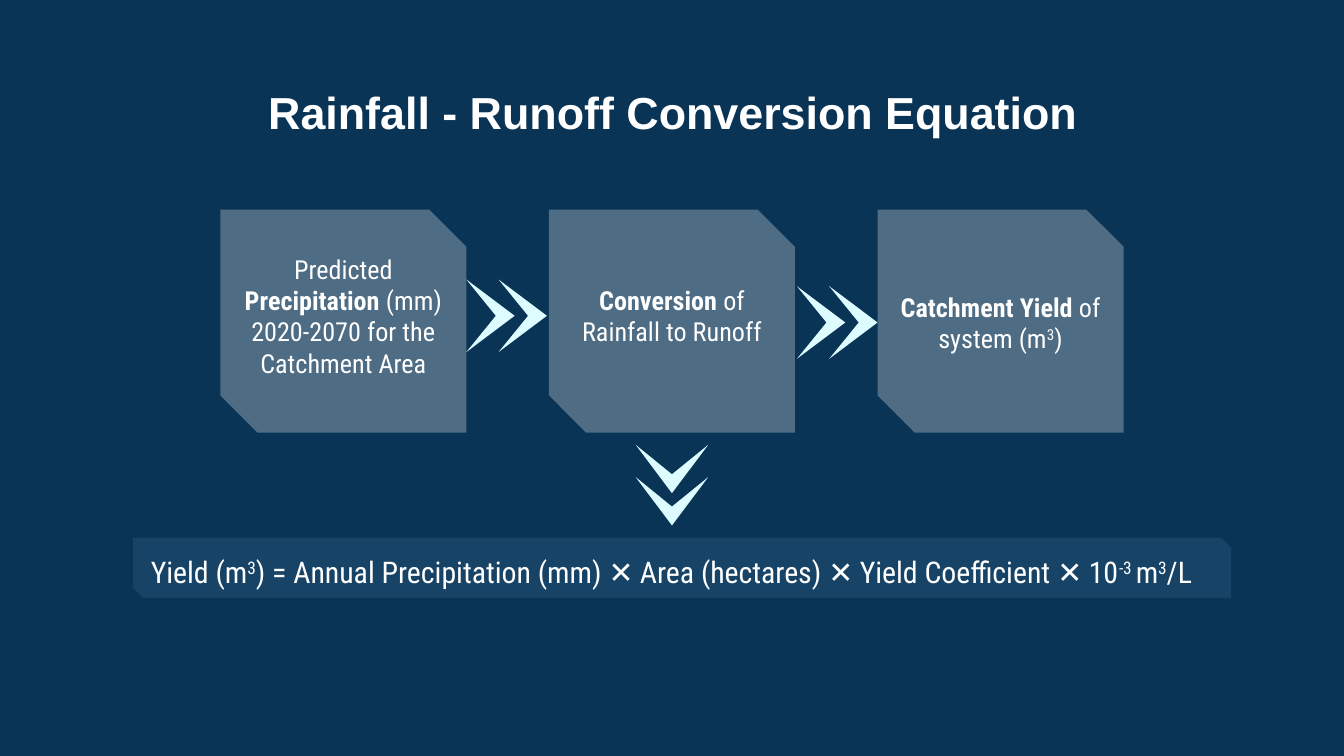
from pptx import Presentation
from pptx.dml.color import RGBColor
from pptx.enum.shapes import MSO_SHAPE
from pptx.enum.text import MSO_ANCHOR, MSO_AUTO_SIZE, PP_ALIGN
from pptx.oxml.ns import qn
from pptx.util import Inches, Pt
from lxml import etree

SNIPPED = MSO_SHAPE.SNIP_2_DIAG_RECTANGLE
CENTER = PP_ALIGN.CENTER
TOP, MIDDLE = MSO_ANCHOR.TOP, MSO_ANCHOR.MIDDLE
NO_FIT = MSO_AUTO_SIZE.NONE

THEME = {
    "background": "0A3455", "text": "FFFFFF", "card": "FFFFFF",
    "band": "174366", "arrow": "DCFCFF",
    "title_font": "Arial", "body_font": "Roboto Condensed",
    "title_size": 24, "card_size": 14, "equation_size": 16,
    "card_opacity": 28,
}

# Runs are (text, style); style is "", "bold" or "super".
TITLE = [("Rainfall - Runoff Conversion Equation", "bold")]
STEPS = [  # (runs, top of text)
    ([("Predicted ", ""), ("Precipitation ", "bold"),
      ("(mm) 2020-2070 for the Catchment Area", "")], 1.72),
    ([("Conversion ", "bold"), ("of Rainfall to Runoff", "")], 1.72),
    ([("Catchment Yield", "bold"), (" of system (m", ""), ("3", "super"),
      (")", "")], 1.77),
]
EQUATION = [
    ("Yield (m", ""), ("3", "super"),
    (") = Annual Precipitation (mm) ✕ Area (hectares) ✕ Yield Coefficient ✕ 10", ""),
    ("-3 ", "super"), ("m", ""), ("3", "super"), ("/L", ""),
]

FIRST_LEFT, LAST_LEFT = 1.64, 6.53
CARD_TOP, CARD_W, CARD_H = 1.56, 1.83, 1.66
CARD_PITCH = (LAST_LEFT - FIRST_LEFT) / (len(STEPS) - 1)
TEXT_H = 1.26
# Arrowhead outline as (along, across) from the middle of its back edge
ARROWHEAD = [(0, -0.27), (0.22, 0), (0, 0.27), (0.36, 0)]
ARROW_STEP = 0.24
ARROWS = [(3.47, 2.35, False), (5.93, 2.4, False), (5, 3.31, True)]  # x, y, down


def color(name):
    return RGBColor.from_string(THEME[name])


def write(sp, runs, font, size, anchor=TOP):
    tf = sp.text_frame
    tf.word_wrap = True
    tf.auto_size = NO_FIT
    tf.vertical_anchor = anchor
    tf.margin_left = tf.margin_right = Inches(0.1)
    tf.margin_top = tf.margin_bottom = Inches(0.1)
    p = tf.paragraphs[0]
    p.alignment = CENTER
    for text, style in runs:
        r = p.add_run()
        r.text = text
        r.font.name = THEME[font]
        r.font.size = Pt(THEME[size])
        r.font.color.rgb = color("text")
        r.font.bold = style == "bold"
        if style == "super":
            r._r.get_or_add_rPr().set("baseline", "30000")
    return p


def paint(sp, fill):
    sp.shadow.inherit = False
    sp.fill.solid()
    sp.fill.fore_color.rgb = color(fill)
    sp.line.fill.background()


def add_snipped(s, box, fill):
    sp = s.shapes.add_shape(SNIPPED, *map(Inches, box))
    paint(sp, fill)
    return sp


def add_text(s, box, *args):
    return write(s.shapes.add_textbox(*map(Inches, box)), *args)


def set_opacity(sp, percent):
    clr = sp.fill._xPr.find(qn("a:solidFill"))[0]
    etree.SubElement(clr, qn("a:alpha")).set("val", str(percent * 1000))


def add_double_arrow(s, x, y, down):
    """Draw two arrowheads in a row, starting at the back edge's middle."""
    group = s.shapes.add_group_shape()
    for i in range(2):
        points = []
        for along, across in ARROWHEAD:
            along += i * ARROW_STEP
            dx, dy = (across, along) if down else (along, across)
            points.append((Inches(x + dx), Inches(y + dy)))
        outline = group.shapes.build_freeform(*points[0])
        outline.add_line_segments(points[1:], close=True)
        paint(outline.convert_to_shape(), "arrow")


prs = Presentation()
prs.slide_width = Inches(10)
prs.slide_height = prs.slide_width * 9 // 16
s = prs.slides.add_slide(prs.slide_layouts[5])
s.background.fill.solid()
s.background.fill.fore_color.rgb = color("background")

title = s.shapes.title
title.left, title.top, title.width, title.height = map(Inches, (1.66, 0.53, 6.69, 1.03))
write(title, TITLE, "title_font", "title_size")

for i, (runs, text_top) in enumerate(STEPS):
    left = FIRST_LEFT + i * CARD_PITCH
    card = add_snipped(s, (left, CARD_TOP, CARD_W, CARD_H), "card")
    set_opacity(card, THEME["card_opacity"])
    add_text(s, (left, text_top, CARD_W, TEXT_H), runs, "body_font", "card_size", MIDDLE)

add_snipped(s, (0.99, 4, 8.17, 0.45), "band")
p = add_text(s, (0.12, 3.98, 9.75, 0.44), EQUATION, "body_font", "equation_size")
p.line_spacing = 1.15

for arrow in ARROWS:
    add_double_arrow(s, *arrow)

prs.save("out.pptx")
